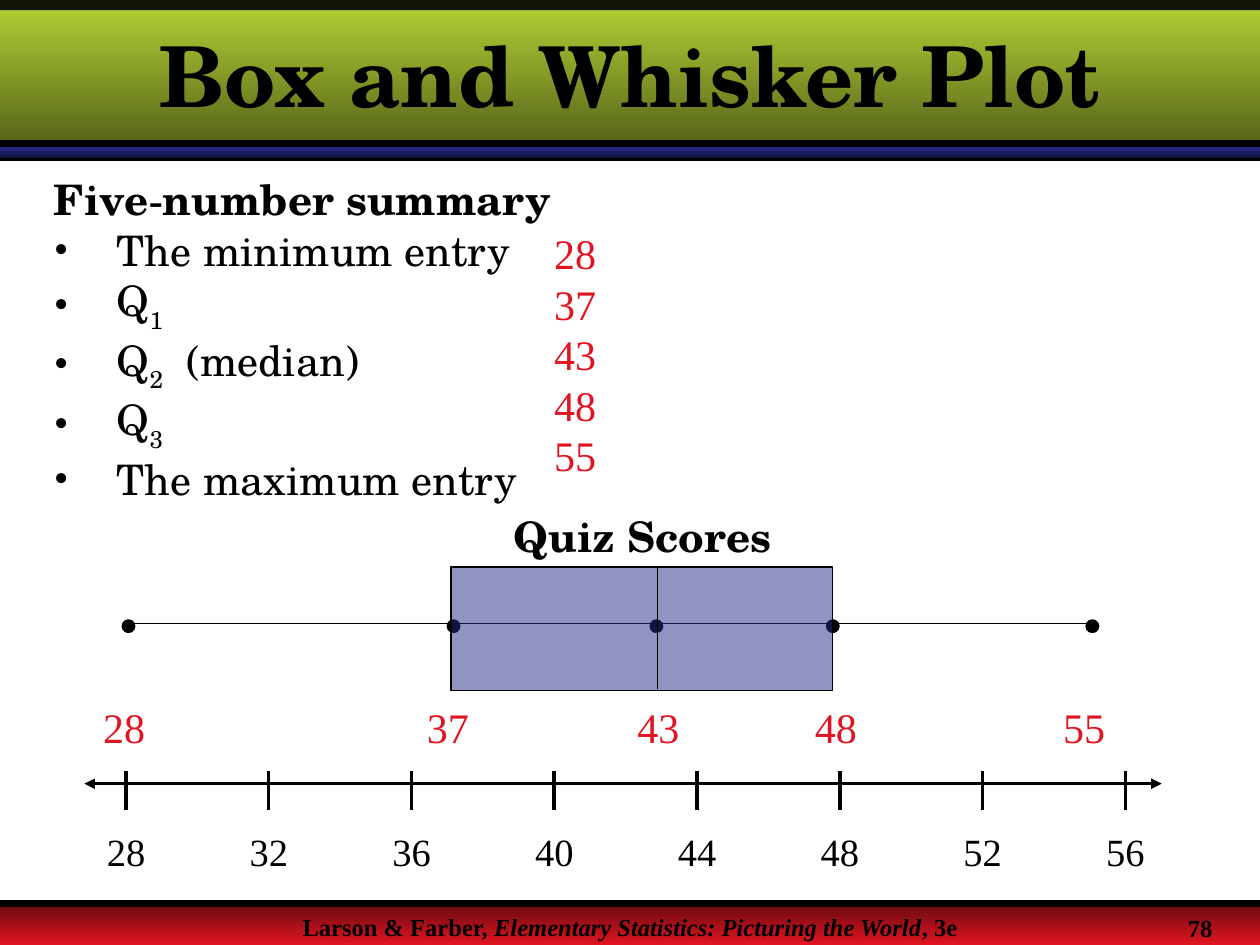
import pptx
import pptx.dml.color
import pptx.enum.shapes
import pptx.enum.text
import pptx.oxml
import pptx.oxml.ns
import pptx.util

Inches = pptx.util.Inches
Pt = pptx.util.Pt
RGBColor = pptx.dml.color.RGBColor
SHAPE = pptx.enum.shapes.MSO_SHAPE
ALIGN = pptx.enum.text.PP_ALIGN
qn = pptx.oxml.ns.qn

BLACK = RGBColor(0x00, 0x00, 0x00)
RED = RGBColor(0xE1, 0x15, 0x21)
DARK_RED = RGBColor(0x68, 0x0A, 0x0F)
NAVY = RGBColor(0x24, 0x29, 0x85)
DARK_NAVY = RGBColor(0x11, 0x13, 0x3E)
GREEN = RGBColor(0xB5, 0xD3, 0x35)
DARK_GREEN = RGBColor(0x54, 0x62, 0x19)

SERIF = "Times New Roman"
SCHOOL = "TeX Gyre Schola"
HEADING = {"name": SCHOOL, "size": Pt(24), "bold": True}
BODY = {"name": SCHOOL, "size": Pt(24)}
SCORE = {"name": SERIF, "size": Pt(24), "color": RED}
TICK = {"name": SERIF, "size": Pt(22)}
FOOTER = {"name": SERIF, "size": Pt(14), "bold": True}

# Score, centre of its dot, left of its label
FIVE_NUMBERS = [
    (28, 1.02, 0.72),
    (37, 3.6, 3.29),
    (43, 5.21, 4.96),
    (48, 6.61, 6.37),
    (55, 8.67, 8.34),
]
# Text before the subscript, subscript, text after it
SUMMARY_ENTRIES = [
    ("The minimum entry", "", ""),
    ("Q", "1", ""),
    ("Q", "2", "  (median)"),
    ("Q", "3", ""),
    ("The maximum entry", "", ""),
]


def add_run(paragraph, text, style, subscript=False):
    run = paragraph.add_run()
    run.text = text
    run.font.color.rgb = style.get("color", BLACK)
    for attribute, value in style.items():
        if attribute != "color":
            setattr(run.font, attribute, value)
    if subscript:
        run.font._element.set("baseline", "-30000")


def add_text_frame(slide, left, top, width, height, wrap=True):
    frame = slide.shapes.add_textbox(
        Inches(left), Inches(top), Inches(width), Inches(height)).text_frame
    frame.word_wrap = wrap
    return frame


def add_label(slide, left, top, width, height, text, style):
    frame = add_text_frame(slide, left, top, width, height, wrap=False)
    frame.auto_size = pptx.enum.text.MSO_AUTO_SIZE.SHAPE_TO_FIT_TEXT
    add_run(frame.paragraphs[0], text, style)


def add_bullet(paragraph):
    properties = paragraph._p.get_or_add_pPr()
    properties.set("marL", str(Inches(0.5)))
    properties.set("indent", str(-Inches(0.5)))
    namespace = pptx.oxml.ns.nsdecls("a")
    for xml in (f'<a:buClr {namespace}><a:srgbClr val="{BLACK}"/></a:buClr>',
                f'<a:buFont {namespace} typeface="{SERIF}"/>',
                f'<a:buChar {namespace} char="•"/>'):
        properties.append(pptx.oxml.parse_xml(xml))


def add_line(slide, start, end, width, arrows=False):
    connector = slide.shapes.add_connector(
        pptx.enum.shapes.MSO_CONNECTOR.STRAIGHT,
        *(Inches(length) for length in (*start, *end)))
    connector.line.color.rgb = BLACK
    connector.line.width = Pt(width)
    if arrows:
        outline = connector.line._get_or_add_ln()
        for tag in ("a:headEnd", "a:tailEnd"):
            outline.append(outline.makeelement(qn(tag), {"type": "triangle"}))
    properties = connector._element.spPr
    properties.append(properties.makeelement(qn("a:effectLst"), {}))


def add_shape(slide, preset, left, top, width, height):
    shape = slide.shapes.add_shape(
        preset, Inches(left), Inches(top), Inches(width), Inches(height))
    shape.shadow.inherit = False
    return shape


def fill_solid(shape, color, opacity=100):
    shape.fill.solid()
    shape.fill.fore_color.rgb = color
    if opacity < 100:
        color_element = shape._element.spPr.find(".//" + qn("a:srgbClr"))
        color_element.append(color_element.makeelement(
            qn("a:alpha"), {"val": str(opacity * 1000)}))


def outline_thin(shape):
    shape.line.color.rgb = BLACK
    shape.line.width = Pt(0.75)


def add_gradient_band(slide, top, height, upper, lower):
    band = add_shape(slide, SHAPE.RECTANGLE, 0, top, 10, height)
    band.line.fill.background()
    band.fill.gradient()
    band.fill.gradient_angle = 270
    for stop, color in zip(band.fill.gradient_stops, (upper, lower)):
        stop.color.rgb = color


def add_frame_and_footer(slide):
    add_gradient_band(slide, 7.17, 0.33, DARK_RED, RED)
    add_line(slide, (0, 1.25), (10, 1.25), 4)
    footer = add_text_frame(slide, 0, 7.19, 10, 0.2).paragraphs[0]
    footer.alignment = ALIGN.CENTER
    add_run(footer, "Larson & Farber, ", FOOTER)
    add_run(footer, "Elementary Statistics: Picturing the World",
            {**FOOTER, "italic": True})
    add_run(footer, ", 3e", FOOTER)
    add_gradient_band(slide, 1.17, 0.08, NAVY, DARK_NAVY)
    add_gradient_band(slide, 0, 1.17, GREEN, DARK_GREEN)
    add_line(slide, (0, 7.17), (10, 7.17), 4)
    top_edge = add_shape(slide, SHAPE.RECTANGLE, 0, 0, 10, 0.08)
    fill_solid(top_edge, BLACK, 90)
    top_edge.line.fill.background()
    add_line(slide, (0, 1.14), (10, 1.14), 4)
    add_label(slide, 9.33, 7.2, 0.4, 0.34, "78", FOOTER)


def set_title(slide, text):
    title = slide.shapes.title
    slide.shapes._spTree.append(title._element)  # in front of the green band
    place = {"left": 0, "top": 0.17, "width": 10, "height": 0.83}
    for attribute, length in place.items():
        setattr(title, attribute, Inches(length))
    title.text_frame.vertical_anchor = pptx.enum.text.MSO_ANCHOR.MIDDLE
    paragraph = title.text_frame.paragraphs[0]
    paragraph.alignment = ALIGN.CENTER
    add_run(paragraph, text, {**HEADING, "size": Pt(48)})


def add_summary(slide):
    frame = add_text_frame(slide, 0.33, 1.33, 9.14, 2.72)
    heading = frame.paragraphs[0]
    add_run(heading, "Five", HEADING)
    add_run(heading, "-", {**HEADING, "name": SERIF})
    add_run(heading, "number summary", HEADING)
    for before, subscript, after in SUMMARY_ENTRIES:
        entry = frame.add_paragraph()
        add_bullet(entry)
        add_run(entry, before, BODY)
        if subscript:
            add_run(entry, subscript, BODY, subscript=True)
        if after:
            add_run(entry, after, BODY)
    for row, (score, _, _) in enumerate(FIVE_NUMBERS):
        add_label(slide, 4.3, 1.76 + 0.4 * row, 0.53, 0.5, str(score), SCORE)


def add_number_line(slide):
    add_line(slide, (0.67, 6.22), (9.22, 6.22), 2, arrows=True)
    for step, value in enumerate(range(28, 57, 4)):
        x = 1 + 1.133 * step
        add_line(slide, (x, 6.12), (x, 6.43), 2)
        add_label(slide, x - 0.25, 6.52, 0.51, 0.47, str(value), TICK)


def add_box_plot(slide):
    for score, center, label_left in FIVE_NUMBERS:
        dot = add_shape(slide, SHAPE.OVAL, center - 0.05, 4.92, 0.1, 0.1)
        fill_solid(dot, BLACK)
        outline_thin(dot)
        add_label(slide, label_left, 5.52, 0.53, 0.5, str(score), SCORE)
    add_line(slide, (1, 4.95), (8.65, 4.95), 0.75)
    box = add_shape(slide, SHAPE.RECTANGLE, 3.58, 4.5, 3.03, 0.98)
    fill_solid(box, NAVY, 50)
    outline_thin(box)
    add_line(slide, (5.22, 4.5), (5.22, 5.47), 0.75)
    caption = add_text_frame(slide, 3.85, 4, 2.5, 0.5).paragraphs[0]
    caption.alignment = ALIGN.CENTER
    add_run(caption, "Quiz Scores", HEADING)


def main():
    presentation = pptx.Presentation()
    presentation.slide_width = Inches(10)
    presentation.slide_height = Inches(7.5)
    slide = presentation.slides.add_slide(presentation.slide_layouts[5])
    add_frame_and_footer(slide)
    set_title(slide, "Box and Whisker Plot")
    add_summary(slide)
    add_number_line(slide)
    add_box_plot(slide)
    presentation.save("out.pptx")


if __name__ == "__main__":
    main()
